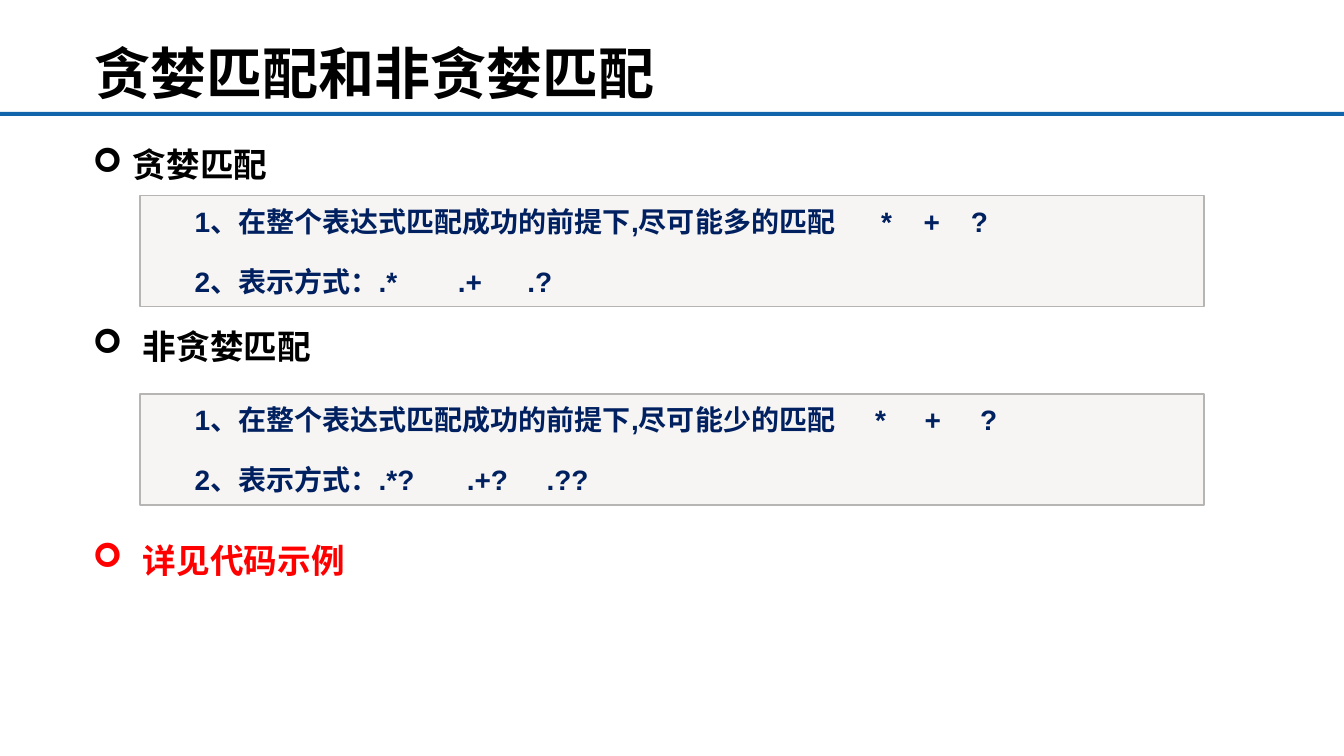
from lxml import etree
from pptx import Presentation
from pptx.dml.color import RGBColor
from pptx.enum.shapes import MSO_SHAPE
from pptx.enum.text import MSO_ANCHOR, PP_ALIGN
from pptx.oxml.ns import qn
from pptx.util import Inches, Pt

RECTANGLE = MSO_SHAPE.RECTANGLE
MIDDLE, TOP = MSO_ANCHOR.MIDDLE, MSO_ANCHOR.TOP
LEFT = PP_ALIGN.LEFT
CJK_FONT, LATIN_FONT = "Noto Sans CJK SC", "Arial"
COLORS = {"black": "000000", "rule": "1265AB", "panel": "F7F5F3",
          "border": "B7B5B4", "navy": "002060", "red": "FF0000"}
TITLE = "贪婪匹配和非贪婪匹配"
# Heading text, hanging indent (inches), space before (points), colour
HEADINGS = [("贪婪匹配", 0.4, 0, "black"),
            ("非贪婪匹配", 0.5, 101, "black"),
            ("详见代码示例", 0.5, 124, "red")]
# Panel top, then each line with its tab stops (inches)
PANELS = [
    (1.94, [("1、在整个表达式匹配成功的前提下,尽可能多的匹配\t*\t+\t?", (6.81, 7.23, 7.7)),
            ("2、表示方式：.*\t.+\t.?", (2.61, 3.3))]),
    (3.91, [("1、在整个表达式匹配成功的前提下,尽可能少的匹配\t*\t+\t?", (6.75, 7.24, 7.79)),
            ("2、表示方式：.*?\t.+?\t.??", (2.7, 3.49))]),
]


def rgb(name):
    return RGBColor.from_string(COLORS[name])


def format_frame(frame, anchor, left_inset=0.1):
    values = {"word_wrap": True, "vertical_anchor": anchor,
              "margin_left": Inches(left_inset), "margin_right": Inches(0.1),
              "margin_top": Inches(0.05), "margin_bottom": Inches(0.05)}
    for name, value in values.items():
        setattr(frame, name, value)


def write(para, text, size, color, font=CJK_FONT):
    para.alignment = LEFT
    para.line_spacing = 1.0
    span = para.add_run()
    span.text = text
    for name, value in {"name": font, "size": Pt(size), "bold": True}.items():
        setattr(span.font, name, value)
    span.font.color.rgb = rgb(color)
    east_asian = etree.SubElement(span.font._element, qn("a:ea"))
    east_asian.set("typeface", CJK_FONT)


def add_bullet(para, indent):
    properties = para._p.get_or_add_pPr()
    properties.set("marL", str(Inches(indent)))
    properties.set("indent", str(-Inches(indent)))
    etree.SubElement(properties, qn("a:buFont")).set("typeface", "Wingdings")
    etree.SubElement(properties, qn("a:buChar")).set("char", "➢")


def add_tab_stops(para, stops):
    tabs = etree.SubElement(para._p.get_or_add_pPr(), qn("a:tabLst"))
    for stop in stops:
        tab = etree.SubElement(tabs, qn("a:tab"))
        tab.set("pos", str(Inches(stop)))
        tab.set("algn", "l")


def add_block(page, box, fill, border=None):
    block = page.shapes.add_shape(RECTANGLE, *map(Inches, box))
    block.shadow.inherit = False
    block.fill.solid()
    block.fill.fore_color.rgb = rgb(fill)
    if border:
        block.line.color.rgb = rgb(border)
        block.line.width = Pt(1)
    else:
        block.line.fill.background()
    return block


def place_title(page, box):
    title = page.shapes.title
    for name, value in zip(("left", "top", "width", "height"), box):
        setattr(title, name, Inches(value))
    format_frame(title.text_frame, MIDDLE)
    write(title.text_frame.paragraphs[0], TITLE, 40, "black")


def place_headings(page, box):
    frame = page.shapes.add_textbox(*map(Inches, box)).text_frame
    format_frame(frame, TOP)
    for index, (text, indent, space, color) in enumerate(HEADINGS):
        para = frame.add_paragraph() if index else frame.paragraphs[0]
        write(para, text, 24, color)
        para.space_before = Pt(space)
        add_bullet(para, indent)


def place_panel(page, box, lines):
    frame = add_block(page, box, "panel", "border").text_frame
    format_frame(frame, MIDDLE, left_inset=0.54)
    for index, (text, stops) in enumerate(lines):
        para = frame.add_paragraph() if index else frame.paragraphs[0]
        write(para, text, 20, "navy", LATIN_FONT)
        para.space_before = Pt(19 * index)
        add_tab_stops(para, stops)


def main():
    deck = Presentation()
    deck.slide_width, deck.slide_height = Inches(13.33), Inches(7.5)
    page = deck.slides.add_slide(deck.slide_layouts[5])
    # Title and the rule below it
    add_block(page, (0, 1.11, 13.33, 0.04), "rule")
    place_title(page, (0.84, 0.28, 11.64, 0.87))
    # Bulleted headings, with the panels between them
    place_headings(page, (0.82, 1.38, 12.3, 5.2))
    for top, lines in PANELS:
        place_panel(page, (1.39, top, 10.55, 1.1), lines)
    deck.save("out.pptx")


if __name__ == "__main__":
    main()
